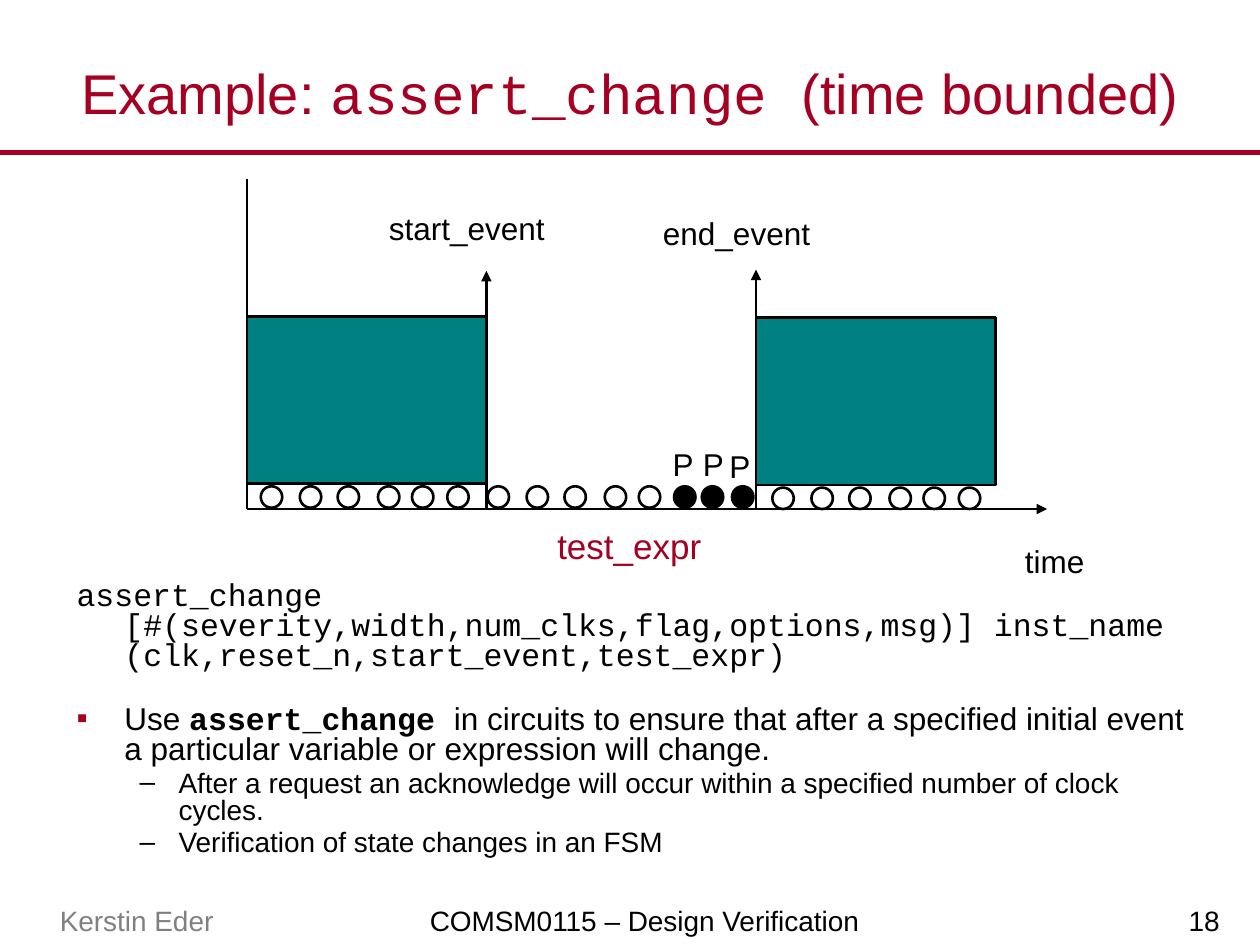
from lxml import etree
from pptx import Presentation
from pptx.dml.color import RGBColor
from pptx.enum.shapes import MSO_CONNECTOR, MSO_SHAPE
from pptx.enum.text import MSO_ANCHOR, PP_ALIGN
from pptx.oxml.ns import qn
from pptx.util import Inches, Pt

CRIMSON = RGBColor(0xA5, 0x00, 0x21)
BLACK = RGBColor(0x00, 0x00, 0x00)
GRAY = RGBColor(0x80, 0x80, 0x80)
TEAL = RGBColor(0x00, 0x80, 0x80)
STRAIGHT = MSO_CONNECTOR.STRAIGHT
RECTANGLE, OVAL = MSO_SHAPE.RECTANGLE, MSO_SHAPE.OVAL
TOP, MIDDLE, BOTTOM = MSO_ANCHOR.TOP, MSO_ANCHOR.MIDDLE, MSO_ANCHOR.BOTTOM
LEFT, CENTER, RIGHT = PP_ALIGN.LEFT, PP_ALIGN.CENTER, PP_ALIGN.RIGHT
SANS, MONO = "Arial", "Courier New"

prs = Presentation()
prs.slide_width, prs.slide_height = Inches(10), Inches(7.5)
slide = prs.slides.add_slide(prs.slide_layouts[6])


def write(paragraph, text, size=18, font=SANS, color=BLACK, bold=False):
    run = paragraph.add_run()
    run.text = text
    run.font.size = Pt(size)
    run.font.name = font
    run.font.color.rgb = color
    run.font.bold = bold


def draw_line(start, end, color=BLACK, width=1.5, arrow=False):
    line = slide.shapes.add_connector(STRAIGHT, *map(Inches, start + end))
    line.line.color.rgb = color
    line.line.width = Pt(width)
    if arrow:
        etree.SubElement(line.line._get_or_add_ln(), qn("a:tailEnd"), type="triangle")
    etree.SubElement(line._element.spPr, qn("a:effectLst"))


draw_line((0, 1.21), (10, 1.21), color=CRIMSON, width=3)

footers = [
    ("18", 7.8, 1.99, RIGHT, BLACK),
    ("COMSM0115 – Design Verification", 1.82, 6.59, CENTER, BLACK),
    ("Kerstin Eder", 0, 2.17, CENTER, GRAY),
]
for text, left, width, align, color in footers:
    footer = slide.shapes.add_textbox(Inches(left), Inches(6.93), Inches(width), Inches(0.57)).text_frame
    footer.word_wrap = True
    footer.vertical_anchor = BOTTOM
    footer.margin_left = footer.margin_right = Inches(0.11)
    footer.margin_top = footer.margin_bottom = Inches(0.06)
    footer.paragraphs[0].alignment = align
    write(footer.paragraphs[0], text, size=16, color=color)

title = slide.shapes.add_textbox(0, Inches(0.3), Inches(10), Inches(0.86)).text_frame
title.word_wrap = True
title.vertical_anchor = MIDDLE
title.paragraphs[0].alignment = CENTER
for text, font in [("Example: ", SANS), ("assert_change ", MONO), ("(time bounded)", SANS)]:
    write(title.paragraphs[0], text, size=32, font=font, color=CRIMSON)

usage = [("Use ", SANS, False), ("assert_change ", MONO, True),
         ("in circuits to ensure that after a specified initial event "
          "a particular variable or expression will change.", SANS, False)]
signature = [("assert_change [#(severity,width,num_clks,flag,options,msg)] inst_name "
              "(clk,reset_n,start_event,test_expr)", MONO, False)]
request = [("After a request an acknowledge will occur within a specified number of clock cycles.", SANS, False)]
state = [("Verification of state changes in an FSM", SANS, False)]
body_rows = [
    (signature, 18, 0, 0.38, 0.38, None, BLACK),
    (usage, 18, 19, 0.38, 0.38, "▪", CRIMSON),
    (request, 16, 3.2, 0.81, 0.31, "–", BLACK),
    (state, 16, 3.2, 0.81, 0.31, "–", BLACK),
]
body = slide.shapes.add_textbox(Inches(0.51), Inches(4.57), Inches(9), Inches(2.46)).text_frame
body.word_wrap = True
body.vertical_anchor = TOP
for index, (runs, size, before, margin, hanging, bullet, bullet_color) in enumerate(body_rows):
    paragraph = body.add_paragraph() if index else body.paragraphs[0]
    paragraph.alignment = LEFT
    paragraph.line_spacing = 0.8
    paragraph.space_before = Pt(before)
    properties = paragraph._p.get_or_add_pPr()
    properties.set("marL", str(Inches(margin)))
    properties.set("indent", str(-Inches(hanging)))
    if bullet:
        tint = etree.SubElement(properties, qn("a:buClr"))
        etree.SubElement(tint, qn("a:srgbClr"), val=str(bullet_color))
        etree.SubElement(properties, qn("a:buFont"), typeface=SANS)
        etree.SubElement(properties, qn("a:buChar"), char=bullet)
    for text, font, bold in runs:
        write(paragraph, text, size=size, font=font, bold=bold)

draw_line((1.96, 1.42), (1.96, 4.04))
draw_line((1.96, 4.04), (8.31, 4.04), arrow=True)
draw_line((3.86, 4.04), (3.86, 2.15), arrow=True)
draw_line((6, 4.03), (6, 2.14), arrow=True)

marks = [(RECTANGLE, 1.96, 2.51, 1.9, 1.33, TEAL), (RECTANGLE, 6, 2.52, 1.9, 1.33, TEAL)]
for start, top in [(2.07, 3.86), (3.87, 3.86), (6.13, 3.87)]:
    for offset in (0, 0.31, 0.61, 0.93, 1.2, 1.48):
        checked = start == 3.87 and offset == 1.48
        marks.append((OVAL, start + offset, top, 0.17, 0.17, BLACK if checked else None))
for left in (5.57, 5.81):
    marks.append((OVAL, left, 3.86, 0.17, 0.17, BLACK))
for kind, left, top, width, height, fill in marks:
    mark = slide.shapes.add_shape(kind, *map(Inches, (left, top, width, height)))
    mark.shadow.inherit = False
    mark.line.color.rgb = BLACK
    mark.line.width = Pt(1.5)
    if fill is None:
        mark.fill.background()
    else:
        mark.fill.solid()
        mark.fill.fore_color.rgb = fill

labels = [
    ("start_event", 2.96, 1.61, 1.49, 0.4, 18, BLACK),
    ("end_event", 5.1, 1.65, 1.49, 0.4, 18, BLACK),
    ("test_expr", 3.5, 4.11, 2.99, 0.43, 20, CRIMSON),
    ("time", 7.67, 4.25, 1.4, 0.4, 18, BLACK),
    ("P", 5.24, 3.48, 0.33, 0.4, 18, BLACK),
    ("P", 5.48, 3.48, 0.33, 0.4, 18, BLACK),
    ("P", 5.69, 3.5, 0.33, 0.4, 18, BLACK),
]
for text, left, top, width, height, size, color in labels:
    label = slide.shapes.add_textbox(*map(Inches, (left, top, width, height))).text_frame
    label.word_wrap = True
    label.paragraphs[0].alignment = CENTER
    write(label.paragraphs[0], text, size=size, color=color)

prs.save("out.pptx")
